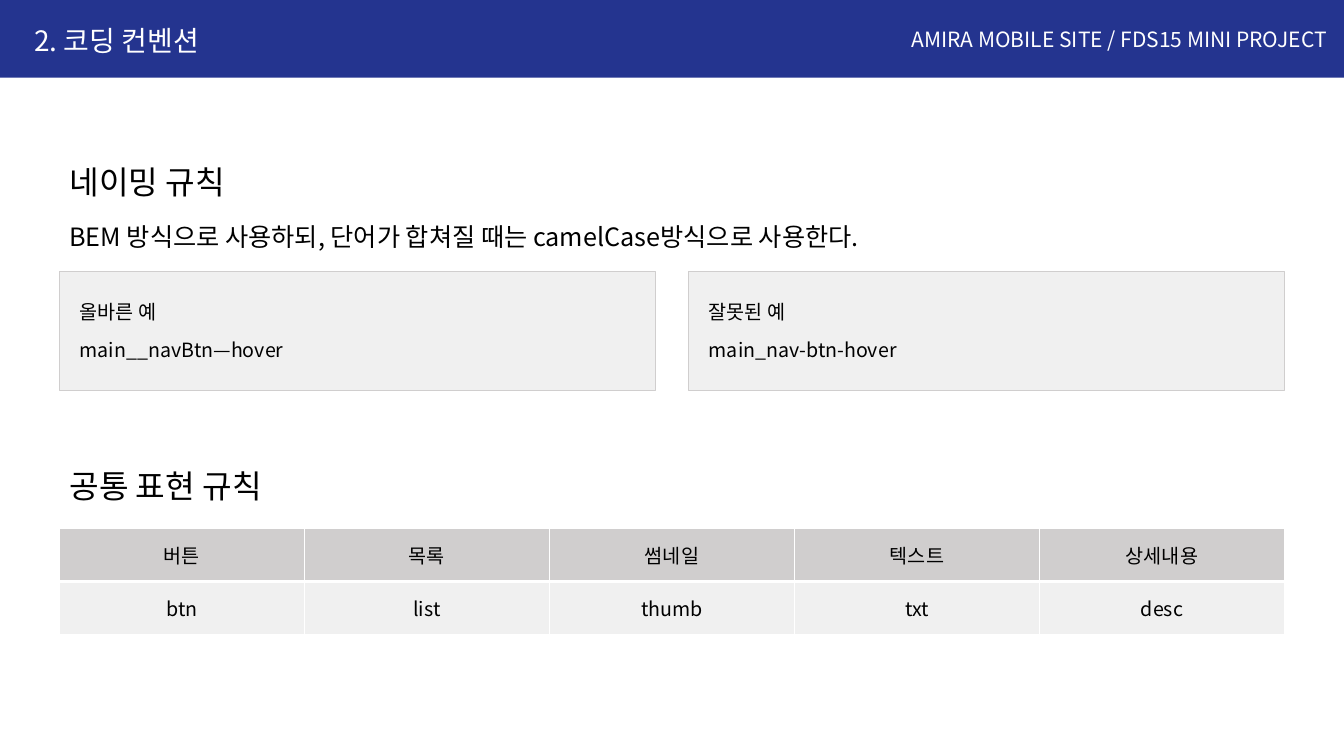
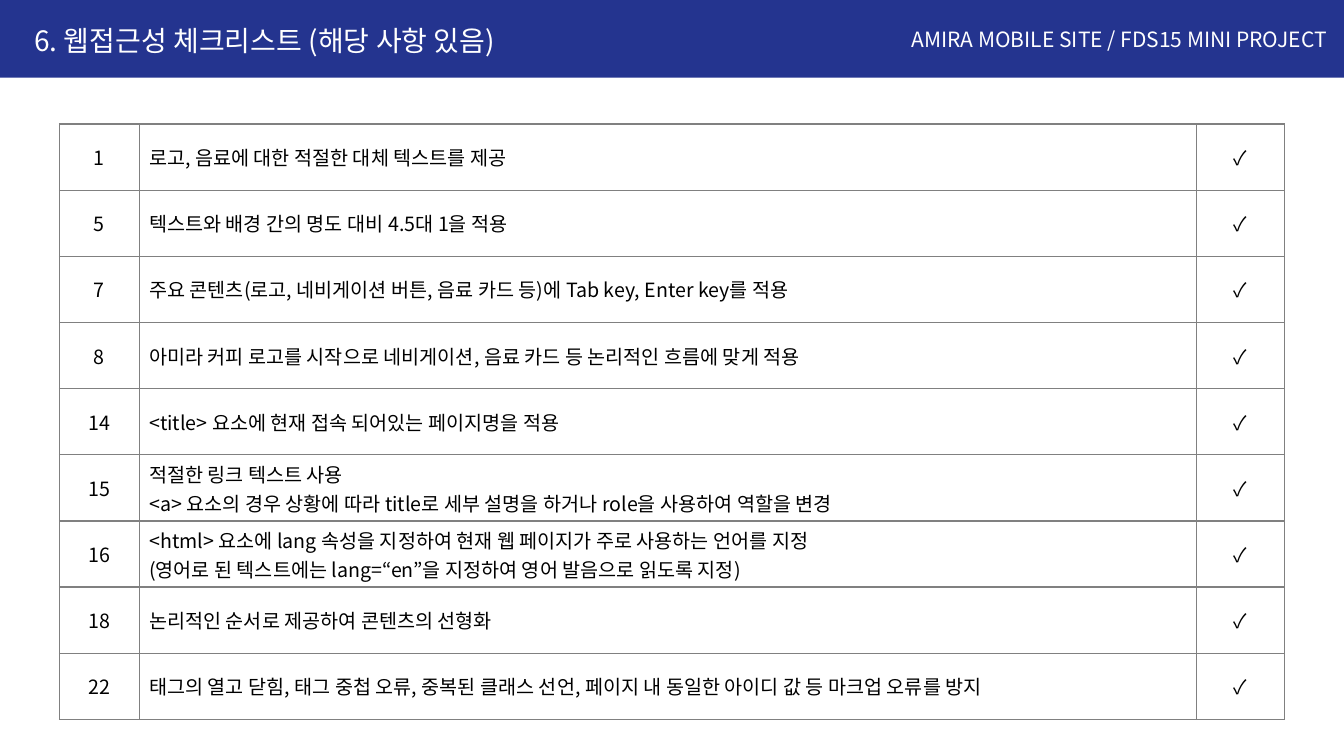
from pptx import Presentation
from pptx.dml.color import RGBColor
from pptx.enum.shapes import MSO_SHAPE
from pptx.enum.text import MSO_ANCHOR, PP_ALIGN
from pptx.oxml.ns import qn
from pptx.util import Inches, Pt
from lxml.etree import SubElement

FONT = "Noto Sans CJK KR"
COLORS = {
    "band": "24348F",
    "white": "FFFFFF",
    "text": "000000",
    "panel": "F0F0F0",
    "edge": "D0CECE",
    "grid": "808080",
}
PAGE_WIDTH = 13.33
LEFT, CONTENT_WIDTH = 0.59, 12.15
PROJECT = "AMIRA MOBILE SITE / FDS15 MINI PROJECT"
CHECK = "✓"

EXAMPLES = [
    ("올바른 예", "main__navBtn—hover"),
    ("잘못된 예", "main_nav-btn-hover"),
]
TERMS = [
    ("버튼", "목록", "썸네일", "텍스트", "상세내용"),
    ("btn", "list", "thumb", "txt", "desc"),
]
CHECKLIST = [
    ("1", "로고, 음료에 대한 적절한 대체 텍스트를 제공"),
    ("5", "텍스트와 배경 간의 명도 대비 4.5대 1을 적용"),
    ("7", "주요 콘텐츠(로고, 네비게이션 버튼, 음료 카드 등)에 Tab key, Enter key를 적용"),
    ("8", "아미라 커피 로고를 시작으로 네비게이션, 음료 카드 등 논리적인 흐름에 맞게 적용"),
    ("14", "<title> 요소에 현재 접속 되어있는 페이지명을 적용"),
    ("15", "적절한 링크 텍스트 사용\n"
           "<a> 요소의 경우 상황에 따라 title로 세부 설명을 하거나 role을 사용하여 역할을 변경"),
    ("16", "<html> 요소에 lang 속성을 지정하여 현재 웹 페이지가 주로 사용하는 언어를 지정\n"
           "(영어로 된 텍스트에는 lang=“en”을 지정하여 영어 발음으로 읽도록 지정)"),
    ("18", "논리적인 순서로 제공하여 콘텐츠의 선형화"),
    ("22", "태그의 열고 닫힘, 태그 중첩 오류, 중복된 클래스 선언, "
           "페이지 내 동일한 아이디 값 등 마크업 오류를 방지"),
]


def rgb(name):
    return RGBColor.from_string(COLORS[name])


def write(para, text, size, color="text", align=PP_ALIGN.LEFT):
    para.alignment = align
    for index, line in enumerate(text.split("\n")):
        if index:
            para.add_line_break()
        span = para.add_run()
        span.text = line
        span.font.size = Pt(size)
        span.font.name = FONT
        span.font.color.rgb = rgb(color)
        SubElement(span.font._element, qn("a:ea"), typeface=FONT)


def add_text(page, box, text, size, color="text", align=PP_ALIGN.LEFT,
             anchor=MSO_ANCHOR.TOP, spacing=0.9):
    frame = page.shapes.add_textbox(*map(Inches, box)).text_frame
    frame.word_wrap = True
    frame.vertical_anchor = anchor
    para = frame.paragraphs[0]
    para.line_spacing = spacing
    write(para, text, size, color, align)


def add_box(page, box, fill, line=None):
    shape = page.shapes.add_shape(MSO_SHAPE.RECTANGLE, *map(Inches, box))
    shape.shadow.inherit = False
    shape.fill.solid()
    shape.fill.fore_color.rgb = rgb(fill)
    if line:
        shape.line.color.rgb = rgb(line)
        shape.line.width = Pt(0.75)
    else:
        shape.line.fill.background()
    return shape


def add_page(deck, title):
    page = deck.slides.add_slide(deck.slide_layouts[6])
    add_box(page, (0, 0, PAGE_WIDTH, 0.77), "band")
    add_text(page, (7.97, 0.21, 5.29, 0.35), PROJECT, 15, "white",
             PP_ALIGN.RIGHT, spacing=1.0)
    add_text(page, (0.24, 0.14, 7.13, 0.56), title, 20, "white",
             anchor=MSO_ANCHOR.MIDDLE)
    return page


def add_heading(page, top, text):
    add_text(page, (LEFT, top, CONTENT_WIDTH, 0.56), text, 23)


def add_example(page, box, lines):
    frame = add_box(page, box, "panel", "edge").text_frame
    frame.word_wrap = True
    frame.vertical_anchor = MSO_ANCHOR.MIDDLE
    frame.margin_left = frame.margin_right = Inches(0.2)
    frame.margin_top = frame.margin_bottom = Inches(0.2)
    for index, line in enumerate(lines):
        para = frame.add_paragraph() if index else frame.paragraphs[0]
        if index:
            para.space_before = Pt(10)
        write(para, line, 14)


def set_borders(cell, color, widths):
    properties = cell._tc.get_or_add_tcPr()
    for index, (side, width) in enumerate(zip(("lnL", "lnR", "lnT", "lnB"), widths)):
        line = properties.makeelement(qn("a:" + side), {"w": str(Pt(width))})
        fill = SubElement(line, qn("a:solidFill"))
        SubElement(fill, qn("a:srgbClr"), val=COLORS[color])
        properties.insert(index, line)


def add_grid(page, box, columns, rows, style_cell):
    grid = page.shapes.add_table(len(rows), len(columns), *map(Inches, box)).table
    grid.first_row = grid.horz_banding = False
    for column, width in zip(grid.columns, columns):
        column.width = Inches(width)
    for row_index, texts in enumerate(rows):
        grid.rows[row_index].height = Inches(box[3] / len(rows))
        for column_index, text in enumerate(texts):
            cell = grid.cell(row_index, column_index)
            cell.vertical_anchor = MSO_ANCHOR.MIDDLE
            align = style_cell(cell, row_index, column_index)
            write(cell.text_frame.paragraphs[0], text, 14, align=align)


def style_term(cell, row, column):
    cell.fill.solid()
    cell.fill.fore_color.rgb = rgb("panel" if row else "edge")
    set_borders(cell, "white", (1, 1, 3, 1) if row else (1, 1, 1, 3))
    return PP_ALIGN.CENTER


def style_check(cell, row, column):
    cell.fill.background()
    set_borders(cell, "grid", (1, 1, 1, 1))
    return PP_ALIGN.LEFT if column == 1 else PP_ALIGN.CENTER


def add_convention_page(deck):
    page = add_page(deck, "2. 코딩 컨벤션")
    add_heading(page, 1.6, "네이밍 규칙")
    add_text(page, (LEFT, 2.03, CONTENT_WIDTH, 0.56),
             "BEM 방식으로 사용하되, 단어가 합쳐질 때는 camelCase방식으로 사용한다.",
             18, spacing=1.4)
    width = 5.91
    step = CONTENT_WIDTH - width
    for index, lines in enumerate(EXAMPLES):
        add_example(page, (LEFT + index * step, 2.69, width, 1.18), lines)
    add_heading(page, 4.62, "공통 표현 규칙")
    count = len(TERMS[0])
    add_grid(page, (LEFT, 5.24, CONTENT_WIDTH, 1.06),
             [CONTENT_WIDTH / count] * count, TERMS, style_term)


def add_checklist_page(deck):
    page = add_page(deck, "6. 웹접근성 체크리스트 (해당 사항 있음)")
    rows = [(number, text, CHECK) for number, text in CHECKLIST]
    add_grid(page, (LEFT, 1.23, CONTENT_WIDTH, 5.91), [0.79, 10.49, 0.87],
             rows, style_check)


def main():
    deck = Presentation()
    deck.slide_width = Inches(PAGE_WIDTH)
    deck.slide_height = Inches(7.5)
    add_convention_page(deck)
    add_checklist_page(deck)
    deck.save("out.pptx")


if __name__ == "__main__":
    main()
